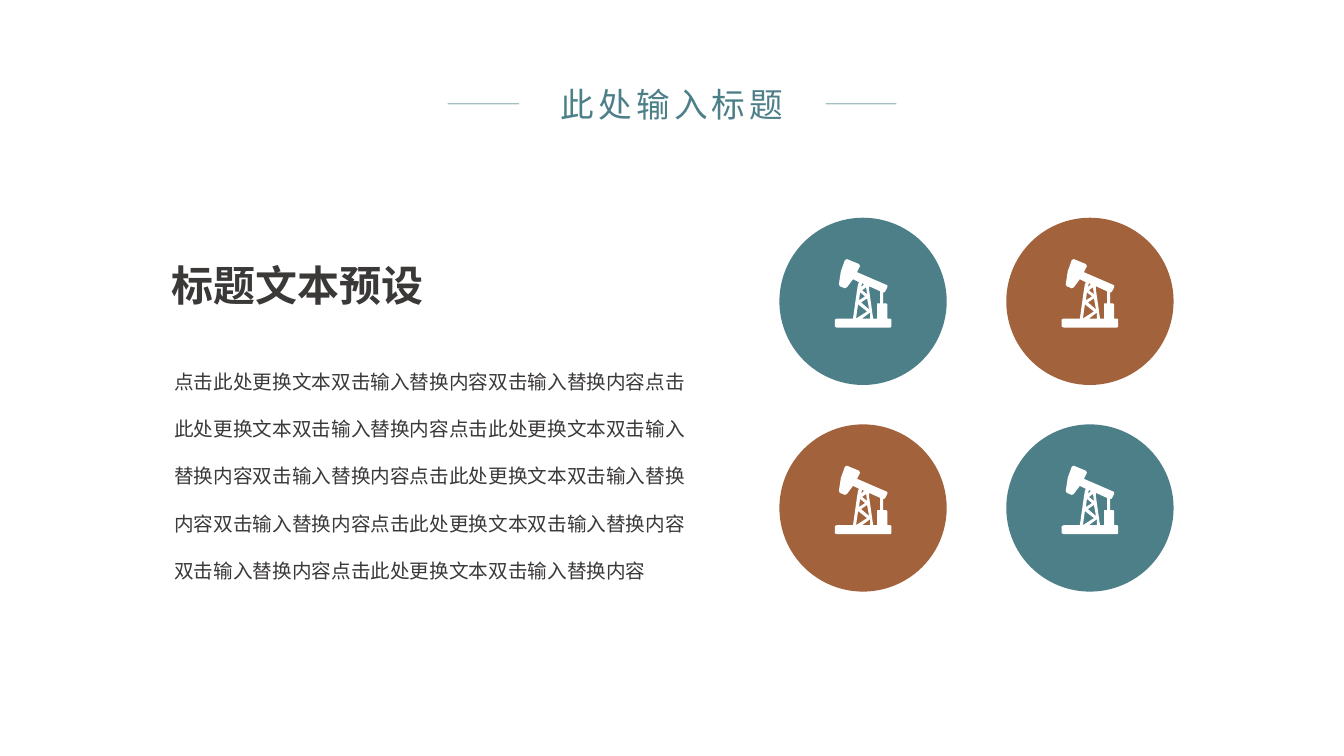
import pptx
import pptx.dml.color
import pptx.enum.shapes
import pptx.enum.text
import pptx.util
from lxml import etree
from pptx.oxml.ns import qn

RGBColor = pptx.dml.color.RGBColor
TEAL = RGBColor(0x4D, 0x7F, 0x89)
RUST = RGBColor(0xA2, 0x63, 0x3C)
DARK = RGBColor(0x3B, 0x38, 0x38)
WHITE = RGBColor(0xFF, 0xFF, 0xFF)

FONT = "Noto Sans CJK SC"
SLIDE_WIDTH = pptx.util.Inches(13.33)
SLIDE_HEIGHT = pptx.util.Inches(7.5)
ICON_UNIT = pptx.util.Inches(0.01)

CIRCLE_LEFT, CIRCLE_TOP = 57.99, 28.8
CIRCLE_COLUMN, CIRCLE_ROW = 16.88, 27.33
CIRCLE_SIZE = 12.45
ICON_INDENT, ICON_DROP = 4.13, 5.47
CIRCLE_COLOURS = [[TEAL, RUST], [RUST, TEAL]]

TITLE_LINES = [(33.31, 38.63), (61.44, 66.69)]
TITLE_LINE_HEIGHT = 13.73

PUMPJACK_CONTOURS = [
    [(55, 59), (52, 59), (52, 45), (51, 44), (48, 44), (48, 33), (49, 33),
     (50, 32), (52, 28), (52, 26), (22, 13), (25, 7), (24, 5), (12, 0),
     (10, 1), (6, 12), (4, 25), (5, 27), (10, 29), (12, 28), (18, 20),
     (24, 23), (23, 25), (22, 31), (18, 59), (2, 59), (0, 60), (0, 67),
     (2, 68), (55, 68), (56, 67), (56, 60)],
    [(45, 44), (42, 44), (42, 59), (38, 59), (34, 31), (34, 27), (45, 32)],
    [(32, 35), (27, 31), (31, 28)],
    [(30, 37), (24, 41), (25, 33)],
    [(32, 39), (34, 50), (26, 43)],
    [(27, 59), (35, 53), (35, 59)],
    [(29, 25), (26, 28), (27, 24)],
    [(23, 45), (32, 52), (21, 59)],
]

TITLE = "此处输入标题"
HEADING = "标题文本预设"
BODY = (
    "点击此处更换文本双击输入替换内容双击输入替换内容"
    "点击此处更换文本双击输入替换内容"
    "点击此处更换文本双击输入替换内容双击输入替换内容"
    "点击此处更换文本双击输入替换内容双击输入替换内容"
    "点击此处更换文本双击输入替换内容双击输入替换内容"
    "点击此处更换文本双击输入替换内容"
)


def across(percent):
    return round(SLIDE_WIDTH * percent / 100)


def down(percent):
    return round(SLIDE_HEIGHT * percent / 100)


def apply_format(target, values):
    for name, value in values.items():
        setattr(target, name, value)


def paint(shape, colour):
    shape.shadow.inherit = False
    shape.fill.solid()
    shape.fill.fore_color.rgb = colour
    shape.line.fill.background()


def add_text(shapes, text, box, colour, font_format, paragraph_format, tracking=0):
    left, top, width, height = box
    text_box = shapes.add_textbox(across(left), down(top), across(width), down(height))
    apply_format(text_box.text_frame, {
        "word_wrap": True,
        "auto_size": pptx.enum.text.MSO_AUTO_SIZE.SHAPE_TO_FIT_TEXT,
    })
    paragraph = text_box.text_frame.paragraphs[0]
    apply_format(paragraph, paragraph_format)
    run = paragraph.add_run()
    run.text = text
    apply_format(run.font, {"name": FONT, **font_format})
    run.font.color.rgb = colour
    properties = run.font._element
    etree.SubElement(properties, qn("a:ea")).set("typeface", FONT)
    if tracking:
        properties.set("spc", str(tracking * 100))


def add_title_line(shapes, start, end):
    height = down(TITLE_LINE_HEIGHT)
    line = shapes.add_connector(
        pptx.enum.shapes.MSO_CONNECTOR.STRAIGHT,
        across(start), height, across(end), height)
    line.line.width = pptx.util.Pt(1)
    line.line.color.rgb = TEAL
    shape_properties = line._element.spPr
    colour = shape_properties.find(".//" + qn("a:srgbClr"))
    etree.SubElement(colour, qn("a:alpha")).set("val", "50000")
    etree.SubElement(shape_properties, qn("a:effectLst"))


def add_pumpjack(shapes, left, top):
    outline, *openings = PUMPJACK_CONTOURS
    builder = shapes.build_freeform(*outline[0], scale=ICON_UNIT)
    builder.add_line_segments(outline[1:])
    for opening in openings:
        builder.move_to(*opening[0])
        builder.add_line_segments(opening[1:])
    paint(builder.convert_to_shape(across(left), down(top)), WHITE)


def add_icon_circle(shapes, column, row, colour):
    left = CIRCLE_LEFT + column * CIRCLE_COLUMN
    top = CIRCLE_TOP + row * CIRCLE_ROW
    diameter = across(CIRCLE_SIZE)
    circle = shapes.add_shape(
        pptx.enum.shapes.MSO_SHAPE.OVAL, across(left), down(top), diameter, diameter)
    paint(circle, colour)
    add_pumpjack(shapes, left + ICON_INDENT, top + ICON_DROP)


def add_title(shapes):
    group = shapes.add_group_shape()
    for start, end in TITLE_LINES:
        add_title_line(group.shapes, start, end)
    add_text(group.shapes, TITLE, (38.93, 10.4, 22.13, 6.67), TEAL,
             {"size": pptx.util.Pt(24)},
             {"alignment": pptx.enum.text.PP_ALIGN.CENTER}, tracking=3)


def main():
    presentation = pptx.Presentation()
    apply_format(presentation, {"slide_width": SLIDE_WIDTH, "slide_height": SLIDE_HEIGHT})
    slide = presentation.slides.add_slide(presentation.slide_layouts[6])
    add_text(slide.shapes, HEADING, (12, 31.73, 40.88, 9.33), DARK,
             {"size": pptx.util.Pt(30), "bold": True}, {"line_spacing": 1.3})
    add_text(slide.shapes, BODY, (12.23, 45.2, 39.91, 38.8), DARK,
             {"size": pptx.util.Pt(14)},
             {"line_spacing": 2.0, "space_before": pptx.util.Pt(2.8)})
    for row, colours in enumerate(CIRCLE_COLOURS):
        for column, colour in enumerate(colours):
            add_icon_circle(slide.shapes, column, row, colour)
    add_title(slide.shapes)
    presentation.save("out.pptx")


if __name__ == "__main__":
    main()
